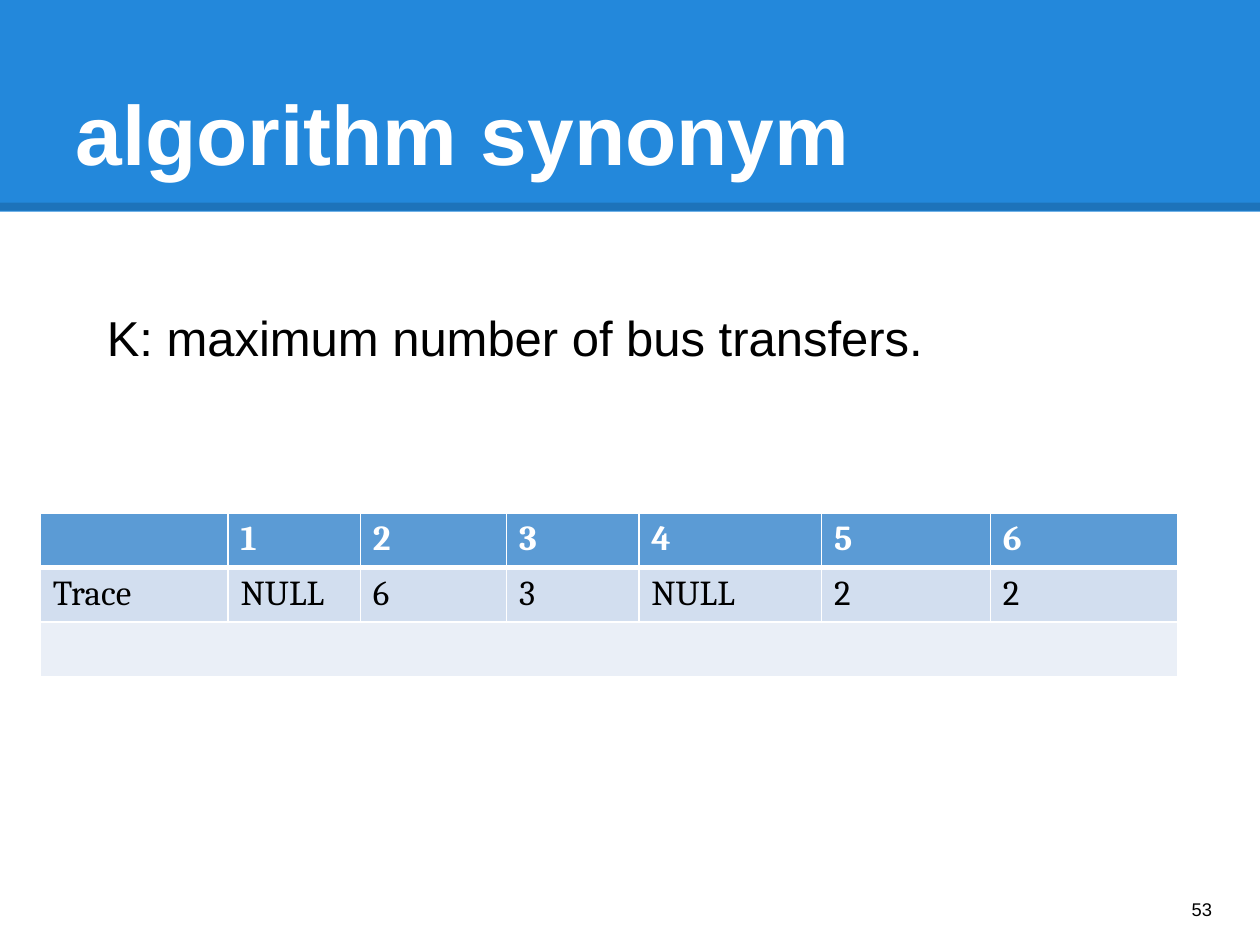
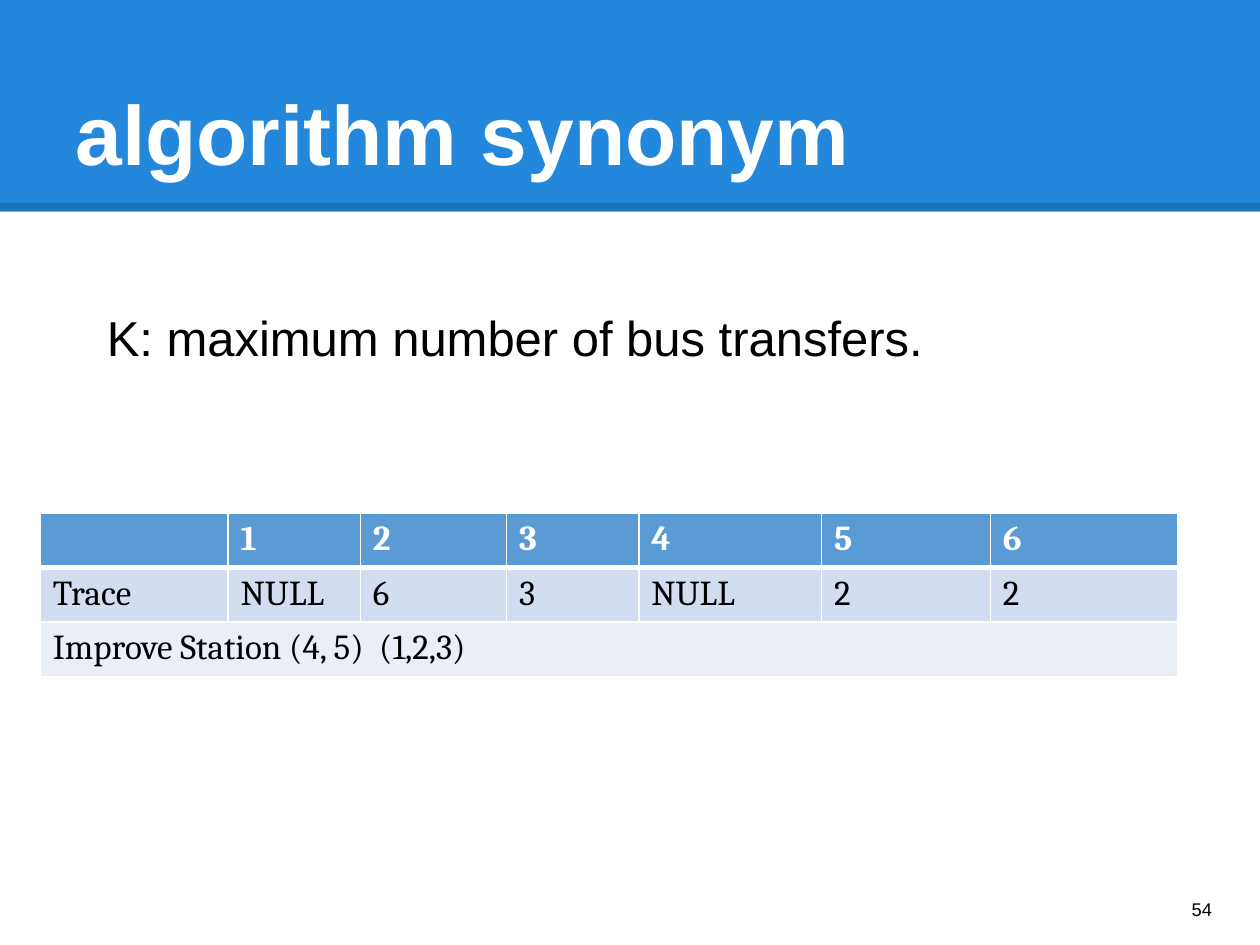
import dataclasses

import lxml.etree
import pptx
import pptx.dml.color
import pptx.enum.shapes
import pptx.enum.text
import pptx.oxml.ns
import pptx.util


@dataclasses.dataclass(frozen=True)
class Theme:
    band: str = "2388DB"
    rule: str = "000000"
    rule_opacity: int = 15
    light: str = "FFFFFF"
    dark: str = "000000"
    table_rows: tuple = ("5B9BD5", "D2DEEF", "EAEFF7")
    text_font: str = "Arial"
    table_font: str = "Cambria"
    title_size: float = 48
    body_size: float = 28
    table_size: float = 20
    number_size: float = 10.5


theme = Theme()
rgb = pptx.dml.color.RGBColor.from_string
qn = pptx.oxml.ns.qn
anchors = pptx.enum.text.MSO_ANCHOR

deck = pptx.Presentation()
deck.slide_width = pptx.util.Inches(10)
deck.slide_height = pptx.util.Inches(7.5)
blank_layout = deck.slide_layouts[6]

# The page is a grid of 100 columns by 75 rows.
column = deck.slide_width / 100
row = deck.slide_height / 75


def write(frame, text, size, color, font=theme.text_font, bold=False):
    frame.text = text
    for span in frame.paragraphs[0].runs:
        span.font.name = font
        span.font.size = pptx.util.Pt(size)
        span.font.bold = bold
        span.font.color.rgb = rgb(color)


def set_borders(cell, top, bottom):
    """Draw light cell edges, 1 pt at the sides, ahead of the cell's fill."""
    properties = cell._tc.get_or_add_tcPr()
    edges = {"a:lnL": 1, "a:lnR": 1, "a:lnT": top, "a:lnB": bottom}
    for index, (tag, width) in enumerate(edges.items()):
        edge = lxml.etree.Element(qn(tag), w=str(pptx.util.Pt(width)))
        fill = lxml.etree.SubElement(edge, qn("a:solidFill"))
        lxml.etree.SubElement(fill, qn("a:srgbClr"), val=theme.light)
        properties.insert(index, edge)


title = "algorithm synonym"
definition = "K: maximum number of bus transfers."
stations = ["", "1", "2", "3", "4", "5", "6"]
trace = ["Trace", "NULL", "6", "3", "NULL", "2", "2"]
column_spans = [14.9, 10.5, 11.6, 10.5, 14.5, 13.4, 14.9]
row_span = 4.3
improvements = {53: "", 54: "Improve Station (4, 5)  (1,2,3)"}

# text, size, colour, bold, anchor, wrap, (left, top, width, height)
text_boxes = [
    (title, theme.title_size, theme.light, True, anchors.BOTTOM, True, (5, 3, 90, 12.5)),
    (None, theme.number_size, theme.dark, False, anchors.MIDDLE, True, (93.6, 69.3, 6, 5.7)),
    (definition, theme.body_size, theme.dark, False, anchors.TOP, False, (7.5, 23.9, 67.6, 5.7)),
]

for page_number, improvement in improvements.items():
    page = deck.slides.add_slide(blank_layout)

    band = page.shapes.add_shape(
        pptx.enum.shapes.MSO_SHAPE.RECTANGLE, 0, 0, deck.slide_width, int(16.8 * row)
    )
    band.shadow.inherit = False
    band.fill.solid()
    band.fill.fore_color.rgb = rgb(theme.band)
    band.line.fill.background()

    rule_top = int(16.4 * row)
    rule = page.shapes.add_connector(
        pptx.enum.shapes.MSO_CONNECTOR.STRAIGHT, 0, rule_top, deck.slide_width, rule_top
    )
    rule.line.width = pptx.util.Pt(4.5)
    rule.line.color.rgb = rgb(theme.rule)
    rule_color = rule._element.spPr.find(".//" + qn("a:srgbClr"))
    lxml.etree.SubElement(rule_color, qn("a:alpha"), val=str(theme.rule_opacity * 1000))
    lxml.etree.SubElement(rule._element.spPr, qn("a:effectLst"))

    for text, size, color, bold, anchor, wrap, (left, top, width, height) in text_boxes:
        box = page.shapes.add_textbox(
            int(left * column), int(top * row), int(width * column), int(height * row)
        )
        frame = box.text_frame
        frame.word_wrap = wrap
        frame.vertical_anchor = anchor
        if wrap:
            frame.margin_top = frame.margin_bottom = pptx.util.Inches(0.1)
            frame.margin_left = frame.margin_right = pptx.util.Inches(0.1)
        write(frame, text or str(page_number), size, color, bold=bold)

    table_rows = [stations, trace, [improvement] + [""] * (len(stations) - 1)]
    table = page.shapes.add_table(
        len(table_rows), len(stations), int(3.2 * column), int(40.7 * row),
        int(sum(column_spans) * column), int(row_span * len(table_rows) * row),
    ).table
    for index, span in enumerate(column_spans):
        table.columns[index].width = int(span * column)
    for row_index, values in enumerate(table_rows):
        is_header = row_index == 0
        for column_index, value in enumerate(values):
            cell = table.cell(row_index, column_index)
            cell.fill.solid()
            cell.fill.fore_color.rgb = rgb(theme.table_rows[row_index])
            set_borders(cell, top=3 if row_index == 1 else 1, bottom=3 if is_header else 1)
            write(
                cell.text_frame, value, theme.table_size,
                theme.light if is_header else theme.dark, theme.table_font, is_header,
            )
    table.cell(2, 0).merge(table.cell(2, len(stations) - 1))

deck.save("out.pptx")
